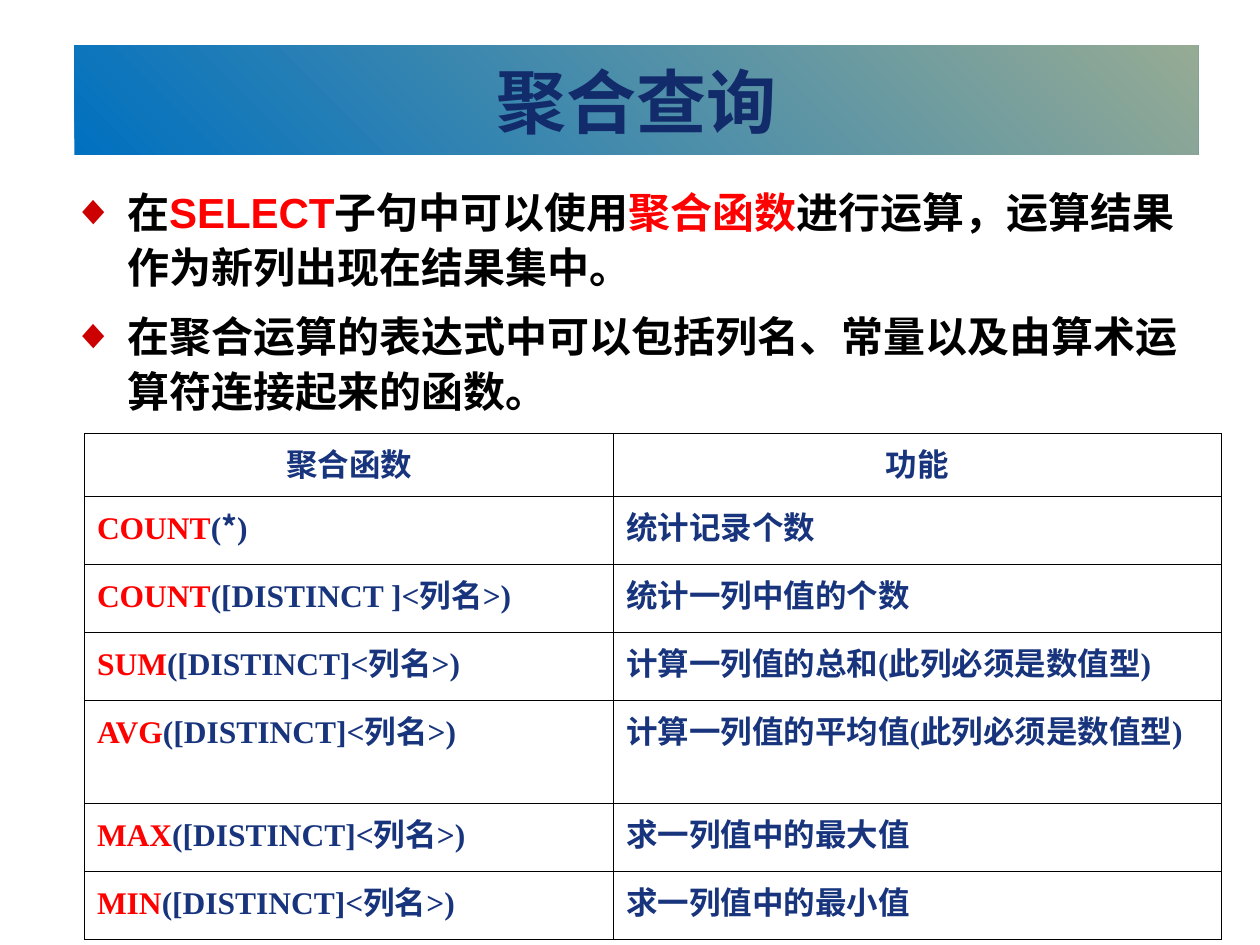
import pptx
import pptx.util
import pptx.dml.color
import pptx.enum.shapes
import pptx.enum.text
import pptx.oxml
import pptx.oxml.ns
from lxml import etree

Inches, Pt = pptx.util.Inches, pptx.util.Pt
RGB = pptx.dml.color.RGBColor
ALIGN = pptx.enum.text.PP_ALIGN
ANCHOR = pptx.enum.text.MSO_ANCHOR

BLUE = RGB(0x00, 0x70, 0xC0)
SAGE = RGB(0x96, 0xAB, 0x94)
NAVY = RGB(0x12, 0x2B, 0x6A)
INK = RGB(0x17, 0x34, 0x7D)
RED = RGB(0xFF, 0x00, 0x00)
BLACK = RGB(0x00, 0x00, 0x00)
WHITE = RGB(0xFF, 0xFF, 0xFF)
CJK, SANS, SERIF = "Noto Sans CJK SC", "Arial", "Times New Roman"

# Content
TITLE = "聚合查询"
POINTS = [
    [("在", BLACK), ("SELECT", RED), ("子句中可以使用", BLACK), ("聚合函数", RED),
     ("进行运算，运算结果作为新列出现在结果集中。", BLACK)],
    [("在聚合运算的表达式中可以包括列名、常量以及由算术运算符连接起来的函数。", BLACK)],
]
HEADS = ["聚合函数", "功能"]
ARG = "([DISTINCT]<列名>)"
ROWS = [
    ("COUNT", "(*)", "统计记录个数"),
    ("COUNT", "([DISTINCT ]<列名>)", "统计一列中值的个数"),
    ("SUM", ARG, "计算一列值的总和(此列必须是数值型)"),
    ("AVG", ARG, "计算一列值的平均值(此列必须是数值型)"),
    ("MAX", ARG, "求一列值中的最大值"),
    ("MIN", ARG, "求一列值中的最小值"),
]
COLS = [4.2, 4.82]
HEAD_H, ROW_H, TALL_H = 0.5, 0.54, 0.82
# The AVG row holds two lines of text
HEIGHTS = [HEAD_H] + [TALL_H if row[0] == "AVG" else ROW_H for row in ROWS]

BULLET = ('<a:buClr {ns}><a:srgbClr val="CC0000"/></a:buClr>',
          '<a:buFont {ns} typeface="Arial"/>',
          '<a:buChar {ns} char="◆"/>')
EDGE = ('<a:{tag} {ns} w="5715"><a:solidFill><a:srgbClr val="000000"/>'
        '</a:solidFill></a:{tag}>')
NS = pptx.oxml.ns.nsdecls("a")


def add_run(para, text, size, face, color):
    run = para.add_run()
    run.text = text
    for key, val in {"size": Pt(size), "name": face, "bold": True}.items():
        setattr(run.font, key, val)
    run.font.color.rgb = color
    east = etree.SubElement(run.font._element, pptx.oxml.ns.qn("a:ea"))
    east.set("typeface", CJK)


def fill_cell(cell, runs, align):
    props = cell._tc.get_or_add_tcPr()
    for tag in ("lnL", "lnR", "lnT", "lnB"):
        props.append(pptx.oxml.parse_xml(EDGE.format(tag=tag, ns=NS)))
    cell.fill.solid()
    cell.fill.fore_color.rgb = WHITE
    para = cell.text_frame.paragraphs[0]
    para.alignment = align
    for text, face, color in runs:
        add_run(para, text, 18, face, color)


deck = pptx.Presentation()
deck.slide_width, deck.slide_height = Inches(10), Inches(7.5)
slide = deck.slides.add_slide(deck.slide_layouts[6])

# Title band
band = slide.shapes.add_shape(pptx.enum.shapes.MSO_SHAPE.RECTANGLE,
                              Inches(0.59), Inches(0.36), Inches(8.92), Inches(0.87))
band.shadow.inherit = False
band.line.fill.background()
band.fill.gradient()
band.fill.gradient_angle = 45
for stop, color in zip(band.fill.gradient_stops, (BLUE, SAGE)):
    stop.color.rgb = color
band.text_frame.vertical_anchor = ANCHOR.MIDDLE
para = band.text_frame.paragraphs[0]
para.alignment = ALIGN.CENTER
add_run(para, TITLE, 40, CJK, NAVY)

# Bullet points
box = slide.shapes.add_textbox(Inches(0.36), Inches(1.39), Inches(9.19), Inches(2.29))
frame = box.text_frame
frame.word_wrap = True
for i, point in enumerate(POINTS):
    para = frame.add_paragraph() if i else frame.paragraphs[0]
    props = para._p.get_or_add_pPr()
    props.set("marL", str(Inches(0.55)))
    props.set("indent", str(Inches(-0.43)))
    for part in BULLET:
        props.append(pptx.oxml.parse_xml(part.format(ns=NS)))
    para.line_spacing = 1.1
    para.space_before = Pt(7.5 if i else 0)
    for text, color in point:
        add_run(para, text, 24, SANS, color)

# Function table
grid = slide.shapes.add_table(len(HEIGHTS), len(COLS), Inches(0.67), Inches(3.44),
                              Inches(sum(COLS)), Inches(sum(HEIGHTS))).table
grid.first_row = grid.horz_banding = False
for col, width in zip(grid.columns, COLS):
    col.width = Inches(width)
for row, height in zip(grid.rows, HEIGHTS):
    row.height = Inches(height)
for j, head in enumerate(HEADS):
    fill_cell(grid.cell(0, j), [(head, SERIF, INK)], ALIGN.CENTER)
for i, (name, arg, use) in enumerate(ROWS, 1):
    parts = list(arg) if arg == "(*)" else [arg]
    runs = [(name, SERIF, RED)]
    runs += [(part, CJK if part == "*" else SERIF, INK) for part in parts]
    fill_cell(grid.cell(i, 0), runs, ALIGN.LEFT)
    fill_cell(grid.cell(i, 1), [(use, SERIF, INK)], ALIGN.LEFT)

deck.save("out.pptx")
